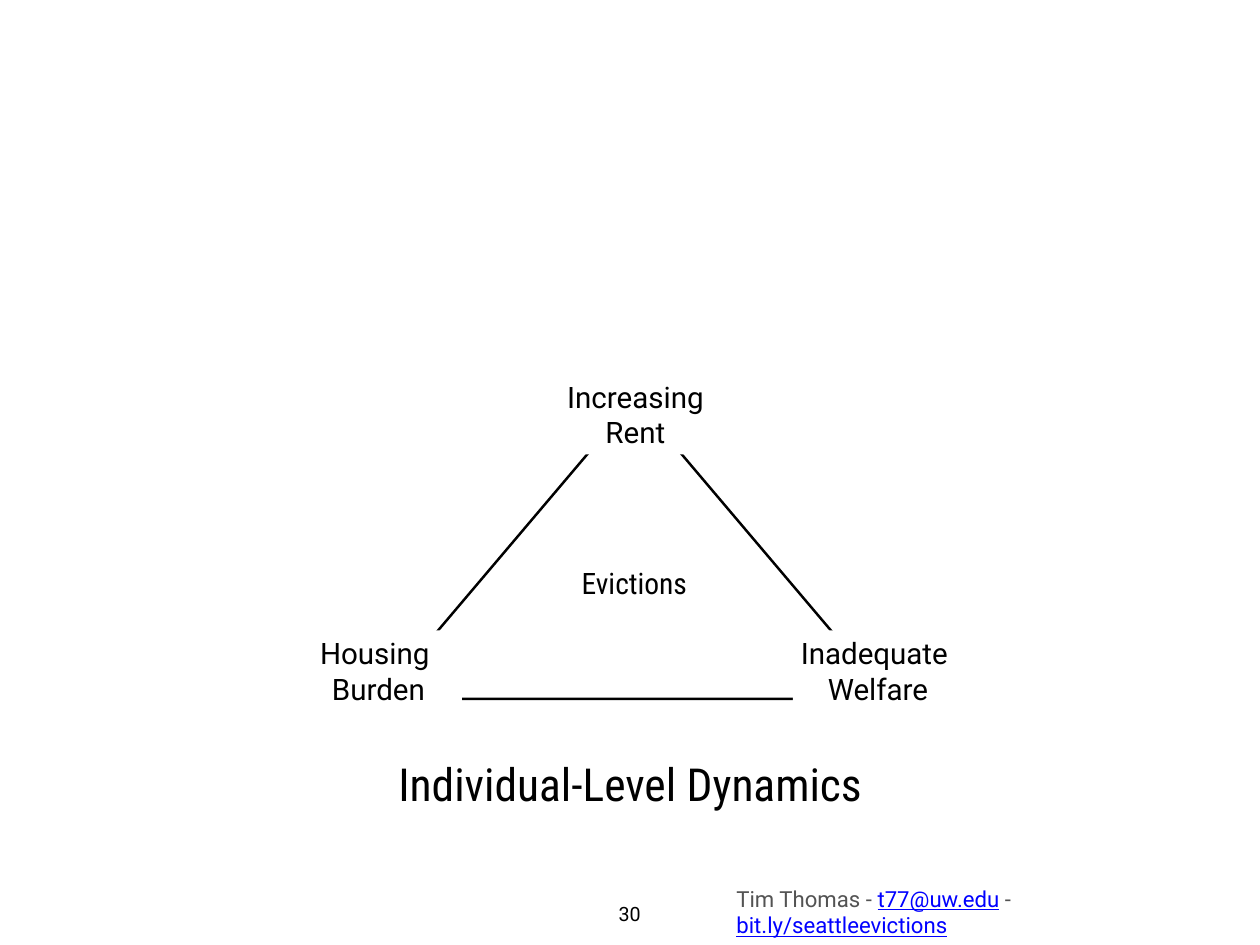
from dataclasses import dataclass

from pptx import Presentation, util as u
from pptx.dml.color import RGBColor
from pptx.enum import shapes, text


@dataclass(frozen=True)
class Theme:
    ink: RGBColor = RGBColor(0, 0, 0)
    paper: RGBColor = RGBColor(255, 255, 255)
    grey: RGBColor = RGBColor(0x53, 0x53, 0x53)
    link: RGBColor = RGBColor(0, 0, 255)
    body: str = "Roboto"
    narrow: str = "Roboto Condensed"
    title: int = 37
    label: int = 24
    foot: int = 18
    page: int = 16
    line: int = 2
    inset: float = 0.15


@dataclass(frozen=True)
class Label:
    words: str
    left: float
    top: float
    width: float
    height: float
    size: int
    font: str
    solid: bool = False


THEME = Theme()
BASE, TALL = 18.08, 2.31
LABELS = [
    Label("Evictions", 16.51, 16.08, 3.35, 1.27, THEME.label, THEME.narrow),
    Label("Housing \nBurden", 8.46, BASE, 4.78, TALL, THEME.label, THEME.body, True),
    Label("Inadequate \nWelfare", 22.73, BASE, 4.88, TALL, THEME.label, THEME.body, True),
    Label("Increasing\nRent", 16.08, 10.72, 4.27, TALL, THEME.label, THEME.body, True),
    Label("Individual-Level Dynamics", 10.8, 21.54, 14.53, 1.83,
          THEME.title, THEME.narrow, True),
    Label("30", 17.58, 25.76, 0.94, 0.89, THEME.page, THEME.body),
]
FOOT = [("Tim Thomas - ", False), ("t77@uw.edu", True),
        (" - ", False), ("bit.ly/seattleevictions", True)]


def set_frame(frame: text.MSO_ANCHOR, wrap: bool) -> None:
    frame.word_wrap = wrap
    frame.vertical_anchor = text.MSO_ANCHOR.MIDDLE
    frame.margin_left = frame.margin_right = u.Cm(THEME.inset)
    frame.margin_top = frame.margin_bottom = u.Cm(THEME.inset)


def set_font(run, font: str, size: int, color: RGBColor) -> None:
    run.font.name = font
    run.font.size = u.Pt(size)
    run.font.color.rgb = color


def draw_label(slide, label: Label) -> None:
    """Draw a centred label; a solid one hides the triangle behind it."""
    area = [u.Cm(n) for n in (label.left, label.top, label.width, label.height)]
    if label.solid:
        box = slide.shapes.add_shape(shapes.MSO_SHAPE.RECTANGLE, *area)
        box.shadow.inherit = False
        box.fill.solid()
        box.fill.fore_color.rgb = THEME.paper
        box.line.fill.background()
    else:
        box = slide.shapes.add_textbox(*area)
    frame = box.text_frame
    set_frame(frame, False)
    frame.text = label.words
    for para in frame.paragraphs:
        para.alignment = text.PP_ALIGN.CENTER
        for run in para.runs:
            set_font(run, label.font, label.size, THEME.ink)


def draw_outline(slide) -> None:
    outline = slide.shapes.add_shape(
        shapes.MSO_SHAPE.ISOSCELES_TRIANGLE,
        u.Cm(10.9), u.Cm(11.43), u.Cm(14.58), u.Cm(8.61))
    outline.shadow.inherit = False
    outline.fill.background()
    outline.line.color.rgb = THEME.ink
    outline.line.width = u.Pt(THEME.line)


def draw_foot(slide) -> None:
    box = slide.shapes.add_textbox(u.Cm(20.96), u.Cm(25.63), u.Cm(13.92), u.Cm(1.04))
    frame = box.text_frame
    set_frame(frame, True)
    for words, linked in FOOT:
        run = frame.paragraphs[0].add_run()
        run.text = words
        set_font(run, THEME.body, THEME.foot, THEME.link if linked else THEME.grey)
        run.font.underline = linked


def main() -> None:
    deck = Presentation()
    deck.slide_width, deck.slide_height = u.Cm(36.12), u.Cm(27.1)
    slide = deck.slides.add_slide(deck.slide_layouts[6])
    draw_outline(slide)
    for label in LABELS:
        draw_label(slide, label)
    draw_foot(slide)
    deck.save("out.pptx")


if __name__ == "__main__":
    main()
